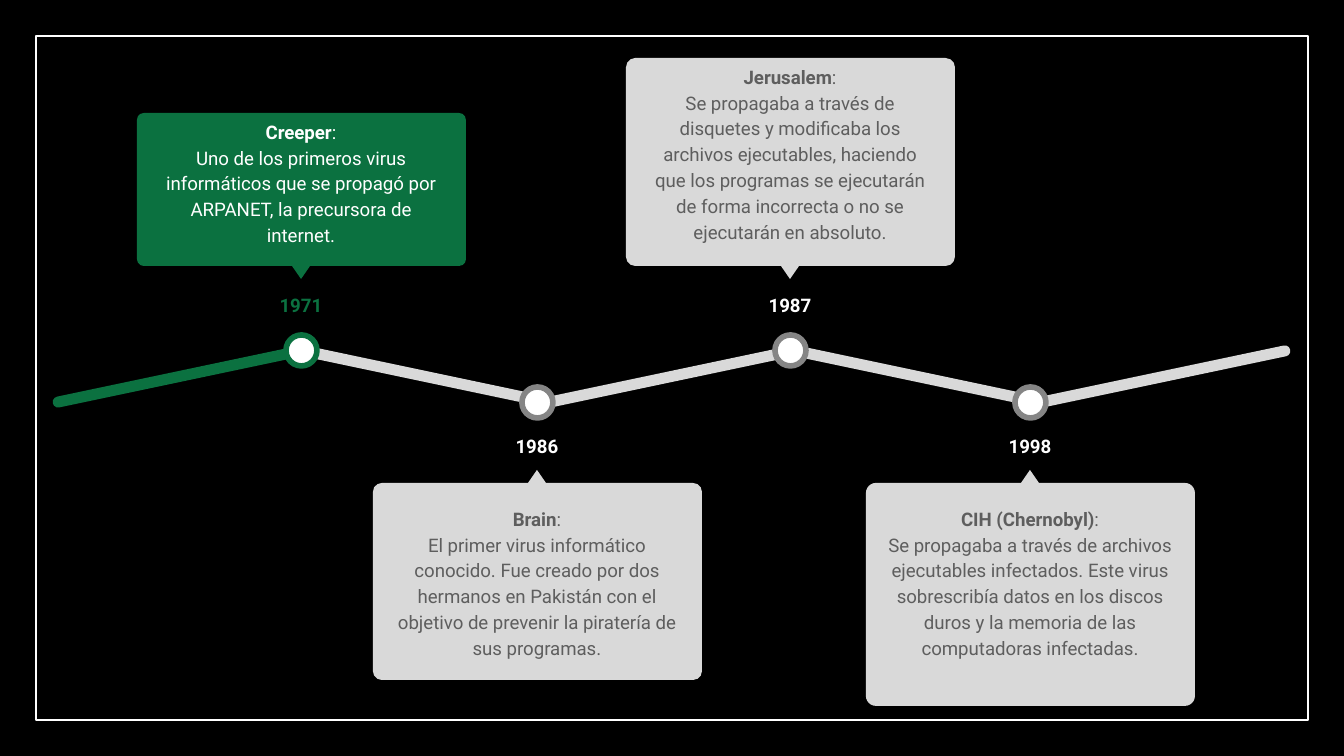
from pptx import Presentation, util as u
from pptx.dml.color import RGBColor
from pptx.enum import shapes, text

PX = 914400 / 134.4
BLACK = RGBColor(0x00, 0x00, 0x00)
WHITE = RGBColor(0xFF, 0xFF, 0xFF)
GREEN = RGBColor(0x0B, 0x71, 0x40)
LIGHT = RGBColor(0xD9, 0xD9, 0xD9)
MID = RGBColor(0x85, 0x85, 0x85)
DARK = RGBColor(0x5E, 0x5E, 0x5E)
KIND = shapes.MSO_SHAPE

prs = Presentation()
prs.slide_width, prs.slide_height = round(1344 * PX), round(756 * PX)
slide = prs.slides.add_slide(prs.slide_layouts[6])
slide.background.fill.solid()
slide.background.fill.fore_color.rgb = BLACK


def draw(kind, x, y, w, h, fill=None, line=None, width=3, turn=0, round_by=None):
    """Add a preset shape, placed in px, without shadow."""
    shape = slide.shapes.add_shape(kind, *[round(n * PX) for n in (x, y, w, h)])
    shape.shadow.inherit = False
    shape.rotation = turn
    if round_by is not None:
        shape.adjustments[0] = round_by
    if fill is None:
        shape.fill.background()
    else:
        shape.fill.solid()
        shape.fill.fore_color.rgb = fill
    if line is None:
        shape.line.fill.background()
    else:
        shape.line.color.rgb = line
        shape.line.width = u.Pt(width)


def write(x, y, w, h, paras, color, after=0):
    """Add centred text; each paragraph is a list of (words, bold)."""
    box = slide.shapes.add_textbox(*[round(n * PX) for n in (x, y, w, h)])
    frame = box.text_frame
    form = {"word_wrap": True, "vertical_anchor": text.MSO_ANCHOR.TOP}
    for side in ("left", "right", "top", "bottom"):
        form["margin_" + side] = u.Inches(0.1)
    for key, value in form.items():
        setattr(frame, key, value)
    for i, runs in enumerate(paras):
        para = frame.add_paragraph() if i else frame.paragraphs[0]
        look = {"alignment": text.PP_ALIGN.CENTER, "line_spacing": 1.15,
                "space_after": u.Pt(after)}
        for key, value in look.items():
            setattr(para, key, value)
        for words, bold in runs:
            run = para.add_run()
            run.text = words
            for key, value in {"name": "Roboto", "size": u.Pt(10), "bold": bold}.items():
                setattr(run.font, key, value)
            run.font.color.rgb = color


draw(KIND.RECTANGLE, 36, 36, 1272, 684, line=WHITE, width=0.75)

# Zigzag line
for i in range(5):
    draw(KIND.ROUNDED_RECTANGLE, 50 + 246 * i, 371, 259, 11,
         fill=LIGHT if i else GREEN, turn=11.9 if i % 2 else 348.1, round_by=0.5)

# Centre, card height, year, name, story
events = [
    (301, 153, "1971", "Creeper",
     "Uno de los primeros virus informáticos que se propagó por ARPANET, "
     "la precursora de internet."),
    (537, 197, "1986", "Brain",
     "El primer virus informático conocido. Fue creado por dos hermanos en "
     "Pakistán con el objetivo de prevenir la piratería de sus programas."),
    (790, 208, "1987", "Jerusalem",
     "Se propagaba a través de disquetes y modificaba los archivos ejecutables, "
     "haciendo que los programas se ejecutarán de forma incorrecta o no se "
     "ejecutarán en absoluto."),
    (1030, 223, "1998", "CIH (Chernobyl)",
     "Se propagaba a través de archivos ejecutables infectados. Este virus "
     "sobrescribía datos en los discos duros y la memoria de las computadoras "
     "infectadas."),
]

for i, (mid, high, year, name, story) in enumerate(events):
    above = i % 2 == 0
    if i == 0:
        card, ring, ink, date = GREEN, GREEN, WHITE, GREEN
    else:
        card, ring, ink, date = LIGHT, MID, DARK, WHITE
    top = 266 - high if above else 483
    draw(KIND.ROUNDED_RECTANGLE, mid - 164, top, 329, high, fill=card, round_by=0.045)
    draw(KIND.ISOSCELES_TRIANGLE, mid - 9, 266 if above else 470, 18, 13,
         fill=card, turn=180 if above else 0)
    write(mid - 156, top - 9 if above else top + 8, 312, high,
          [[(name, True), (":", False)], [(story, False)]], ink)
    write(mid - 67, 278 if above else 419, 134, 52, [[(year, True)]], date, after=16)
    draw(KIND.OVAL, mid - 15, 335 if above else 387, 31, 31, fill=WHITE, line=ring)

prs.save("out.pptx")
